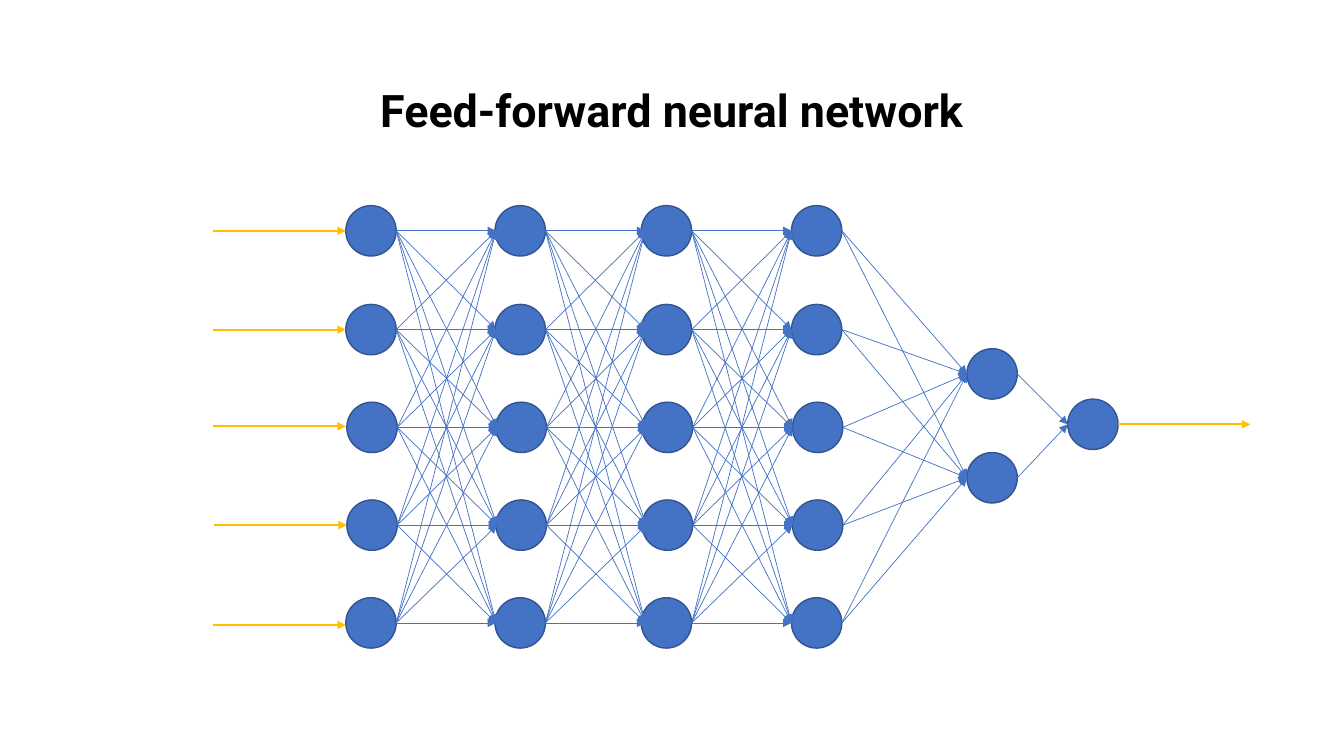
from lxml import etree
from pptx import Presentation
from pptx import util as u
from pptx.dml.color import RGBColor
from pptx.enum import shapes, text
from pptx.oxml.ns import qn

PX = 9144  # 100 px to the inch
HEX = {"node": "4472C4", "rim": "325491", "flow": "FFC000", "ink": "000000"}
SIZE = 50  # node diameter
HALF = SIZE // 2
ROWS = [0, 98, 195, 292, 389]
SHIFT = [0, 0, 1, 1, 0]  # the middle rows sit slightly to the right


def rgb(name):
    return RGBColor.from_string(HEX[name])


def node(slide, x, y):
    dot = slide.shapes.add_shape(shapes.MSO_SHAPE.FLOWCHART_CONNECTOR,
                                 x * PX, y * PX, SIZE * PX, SIZE * PX)
    dot.shadow.inherit = False
    dot.fill.solid()
    dot.fill.fore_color.rgb = rgb("node")
    dot.line.color.rgb = rgb("rim")
    dot.line.width = u.Pt(1)


def arrow(slide, start, end, hue="node", width=0.5):
    link = slide.shapes.add_connector(shapes.MSO_CONNECTOR.STRAIGHT,
                                      *(n * PX for n in (*start, *end)))
    link.line.color.rgb = rgb(hue)
    link.line.width = u.Pt(width)
    etree.SubElement(link.line._ln, qn("a:tailEnd"), type="triangle")
    etree.SubElement(link._element.spPr, qn("a:effectLst"))


def mesh(slide, left, right, gap=0):
    """Link every node on the left to every node on the right."""
    for x, y in left:
        for tox, toy in right:
            arrow(slide, (x + SIZE, y + HALF), (tox + gap, toy + HALF))


def title(slide, x, y, w, h):
    box = slide.shapes.add_textbox(x * PX, y * PX, w * PX, h * PX)
    frame = box.text_frame
    frame.word_wrap = True
    frame.vertical_anchor = text.MSO_ANCHOR.MIDDLE
    frame.text = "Feed-forward neural network"
    para = frame.paragraphs[0]
    para.alignment = text.PP_ALIGN.CENTER
    para.line_spacing = 0.9
    font = para.runs[0].font
    font.name, font.size, font.bold = "Roboto", u.Pt(32), True
    font.color.rgb = rgb("ink")


def network(slide, x, y):
    # Node places, layer by layer
    layers = [[(x + col + dx, y + row) for dx, row in zip(SHIFT, ROWS)]
              for col in (0, 148, 293, 442)]
    layers.append([(x + 616, y + row) for row in (142, 245)])
    layers.append([(x + 716, y + 192)])
    for layer in layers:
        for spot in layer:
            node(slide, *spot)

    # Links between neighbouring layers
    for left, right, gap in zip(layers, layers[1:], (1, 4, 0, 0, 0)):
        mesh(slide, left, right, gap)

    # Inputs and output
    for dx, row in zip((0, 0, 0, 1, 0), (25, 123, 219, 317, 416)):
        arrow(slide, (x - 132 + dx, y + row), (x + dx, y + row), "flow", 1.5)
    outx, outy = layers[-1][0]
    arrow(slide, (outx + SIZE, outy + HALF), (outx + SIZE + 131, outy + HALF),
          "flow", 1.5)


def main():
    deck = Presentation()
    deck.slide_width, deck.slide_height = 1333 * PX, 750 * PX
    slide = deck.slides.add_slide(deck.slide_layouts[6])
    network(slide, 343, 204)
    title(slide, 63, 40, 1207, 145)
    deck.save("out.pptx")


if __name__ == "__main__":
    main()
